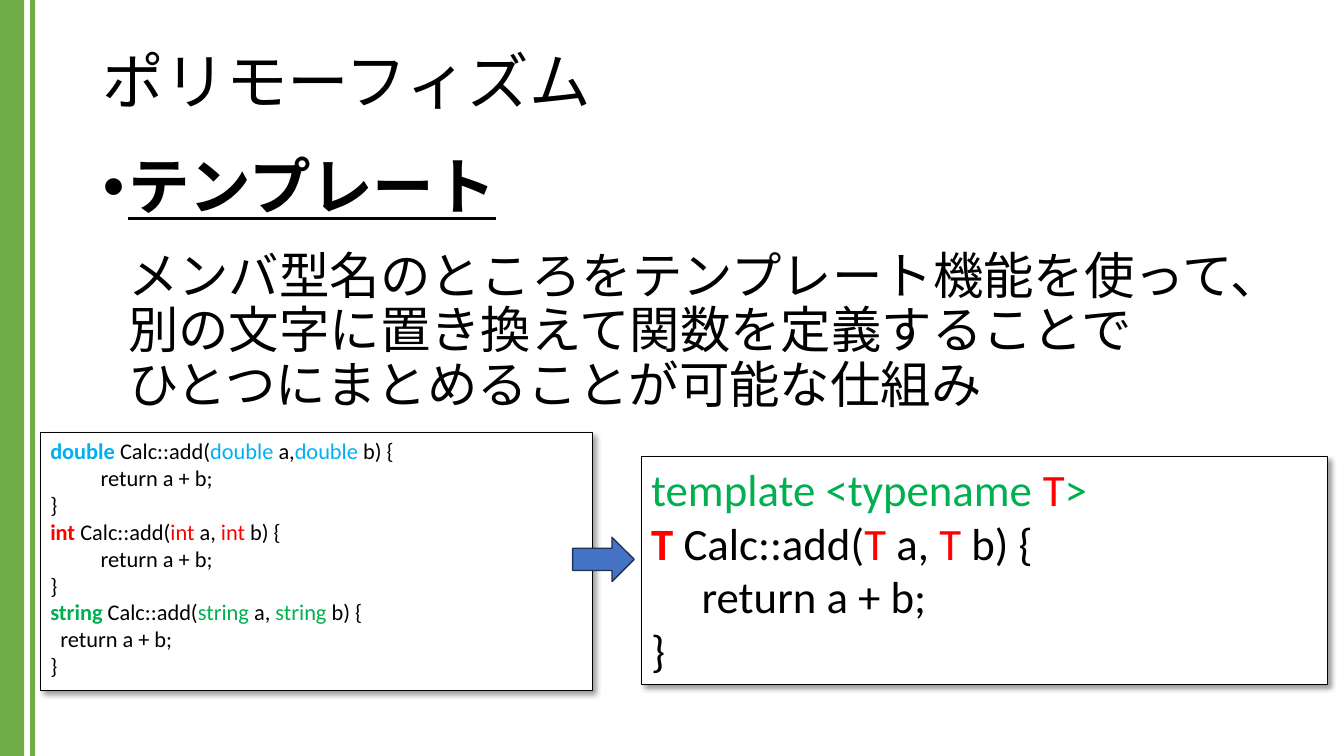
from lxml import etree
from pptx import Presentation
from pptx.dml.color import RGBColor
from pptx.enum.lang import MSO_LANGUAGE_ID
from pptx.enum.shapes import MSO_SHAPE
from pptx.enum.text import MSO_ANCHOR, MSO_AUTO_SIZE, PP_ALIGN
from pptx.oxml import parse_xml
from pptx.oxml.ns import nsdecls, qn
from pptx.util import Inches, Pt

RECT, ARROW = MSO_SHAPE.RECTANGLE, MSO_SHAPE.RIGHT_ARROW
MIDDLE, TOP = MSO_ANCHOR.MIDDLE, MSO_ANCHOR.TOP
LEFT = PP_ALIGN.LEFT
NO_FIT = MSO_AUTO_SIZE.NONE
JAPANESE = MSO_LANGUAGE_ID.JAPANESE

BLACK, WHITE, GREEN_BAR = "000000", "FFFFFF", "70AD47"
BLUE, RED, GREEN = "00B0F0", "FF0000", "00B050"
ARROW_FILL, ARROW_LINE = "4472C4", "1E3256"


def rgb(color):
    return RGBColor.from_string(color)


def place(s, box):
    s.left, s.top, s.width, s.height = [Inches(v) for v in box]


def add_run(p, text, size, color=BLACK, **formats):
    r = p.add_run()
    r.text = text
    values = {"name": "Calibri", "size": Pt(size), **formats}
    for name, value in values.items():
        setattr(r.font, name, value)
    r.font.color.rgb = rgb(color)


def add_block(slide, kind, box, fill, line=None, width=0):
    s = slide.shapes.add_shape(kind, *[Inches(v) for v in box])
    s.shadow.inherit = False
    s.fill.solid()
    s.fill.fore_color.rgb = rgb(fill)
    if line:
        s.line.color.rgb = rgb(line)
        s.line.width = Pt(width)
    else:
        s.line.fill.background()
    return s


def add_side_bars(slide, box):
    left, top, width, height = box
    for offset, bar in ((0, 0.24), (width - 0.05, 0.05)):
        add_block(slide, RECT, (left + offset, top, bar, height), GREEN_BAR)


def fill_title(slide, box):
    s = slide.shapes.title
    place(s, box)
    tf = s.text_frame
    tf.vertical_anchor = MIDDLE
    tf.auto_size = NO_FIT
    p = tf.paragraphs[0]
    p.alignment, p.line_spacing = LEFT, 0.9
    add_run(p, "ポリモーフィズム", 44, language_id=JAPANESE)


def fill_body(slide, box):
    s = slide.placeholders[1]
    place(s, box)
    tf = s.text_frame
    tf.vertical_anchor = TOP
    tf.auto_size = NO_FIT
    heading, text = tf.paragraphs[0], tf.add_paragraph()
    for p, indent, bullet in ((heading, -0.25, "buChar"), (text, 0, "buNone")):
        pPr = p._p.get_or_add_pPr()
        pPr.set("marL", str(Inches(0.25)))
        pPr.set("indent", str(Inches(indent)))
        mark = etree.SubElement(pPr, qn("a:" + bullet))
        if bullet == "buChar":
            mark.set("char", "•")
        p.line_spacing = 0.9
    heading.space_before, text.space_before = Pt(0), Pt(20)
    add_run(heading, "テンプレート", 44, bold=True, underline=True, language_id=JAPANESE)
    lines = ("メンバ型名のところをテンプレート機能を使って、別の文字に置き換えて関数を定義することで",
             "ひとつにまとめることが可能な仕組み")
    for i, line in enumerate(lines):
        if i:
            text.add_line_break()
        add_run(text, line, 36, language_id=JAPANESE)


def add_function(kind, color, gap=" ", indent="\t"):
    """Lines of an add function, each a list of (text, color, bold)."""
    return [
        [(kind, color, True), (" Calc::add(", BLACK, False), (kind + " ", color, False),
         ("a,", BLACK, False), (gap + kind + " ", color, False), ("b) {", BLACK, False)],
        [(indent + "return a + b;", BLACK, False)],
        [("}", BLACK, False)],
    ]


def add_code(slide, box, lines, size):
    s = add_block(slide, RECT, box, WHITE, BLACK, 0.75)
    effects = s._element.spPr.find(qn("a:effectLst"))
    effects.append(parse_xml(
        f'<a:outerShdw {nsdecls("a")} blurRad="{Pt(4)}" dist="{Pt(3)}" dir="2700000" '
        'algn="tl" rotWithShape="0"><a:srgbClr val="000000"><a:alpha val="40000"/>'
        '</a:srgbClr></a:outerShdw>'))
    tf = s.text_frame
    tf.word_wrap = True
    tf.vertical_anchor = TOP
    for i, line in enumerate(lines):
        p = tf.add_paragraph() if i else tf.paragraphs[0]
        p.alignment = LEFT
        for text, color, bold in line:
            add_run(p, text, size, color, bold=bold)


def build_template_slide(prs):
    slide = prs.slides.add_slide(prs.slide_layouts[1])
    add_side_bars(slide, (0, 0, 0.35, 7.5))
    fill_title(slide, (0.92, 0.4, 11.5, 0.87))
    fill_body(slide, (0.92, 1.5, 11.5, 5.88))
    overloads = (add_function("double", BLUE, gap="") + add_function("int", RED)
                 + add_function("string", GREEN, indent="  "))
    add_code(slide, (0.4, 4.29, 5.48, 2.56), overloads, 16)
    header = [("template <typename ", GREEN, False), ("T", RED, False), (">", GREEN, False)]
    add_code(slide, (6.36, 4.53, 6.81, 2.26), [header] + add_function("T", RED), 32)
    add_block(slide, ARROW, (5.68, 5.33, 0.61, 0.44), ARROW_FILL, ARROW_LINE, 1)


def main():
    prs = Presentation()
    prs.slide_width, prs.slide_height = Inches(13.33), Inches(7.5)
    build_template_slide(prs)
    prs.save("out.pptx")


if __name__ == "__main__":
    main()
